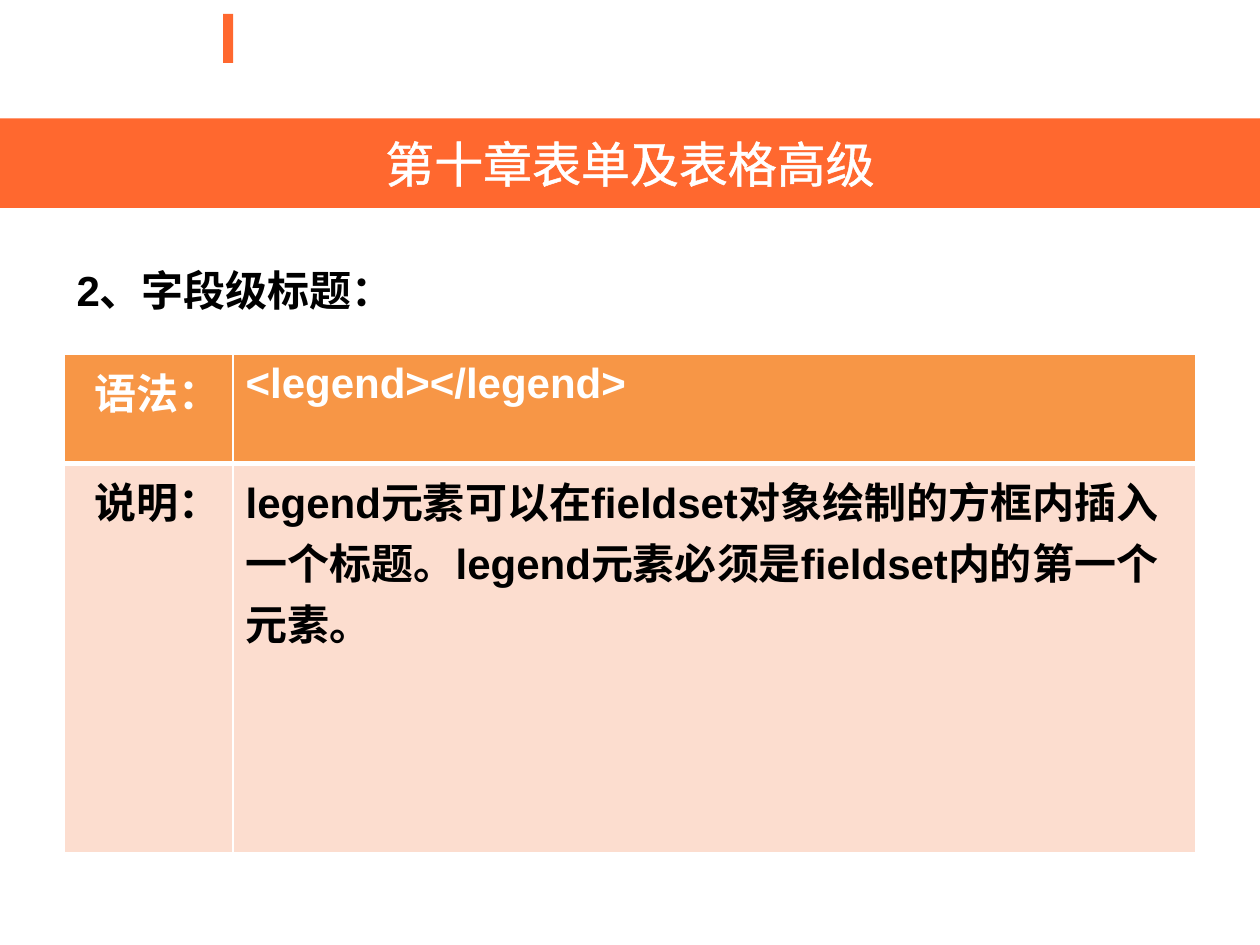
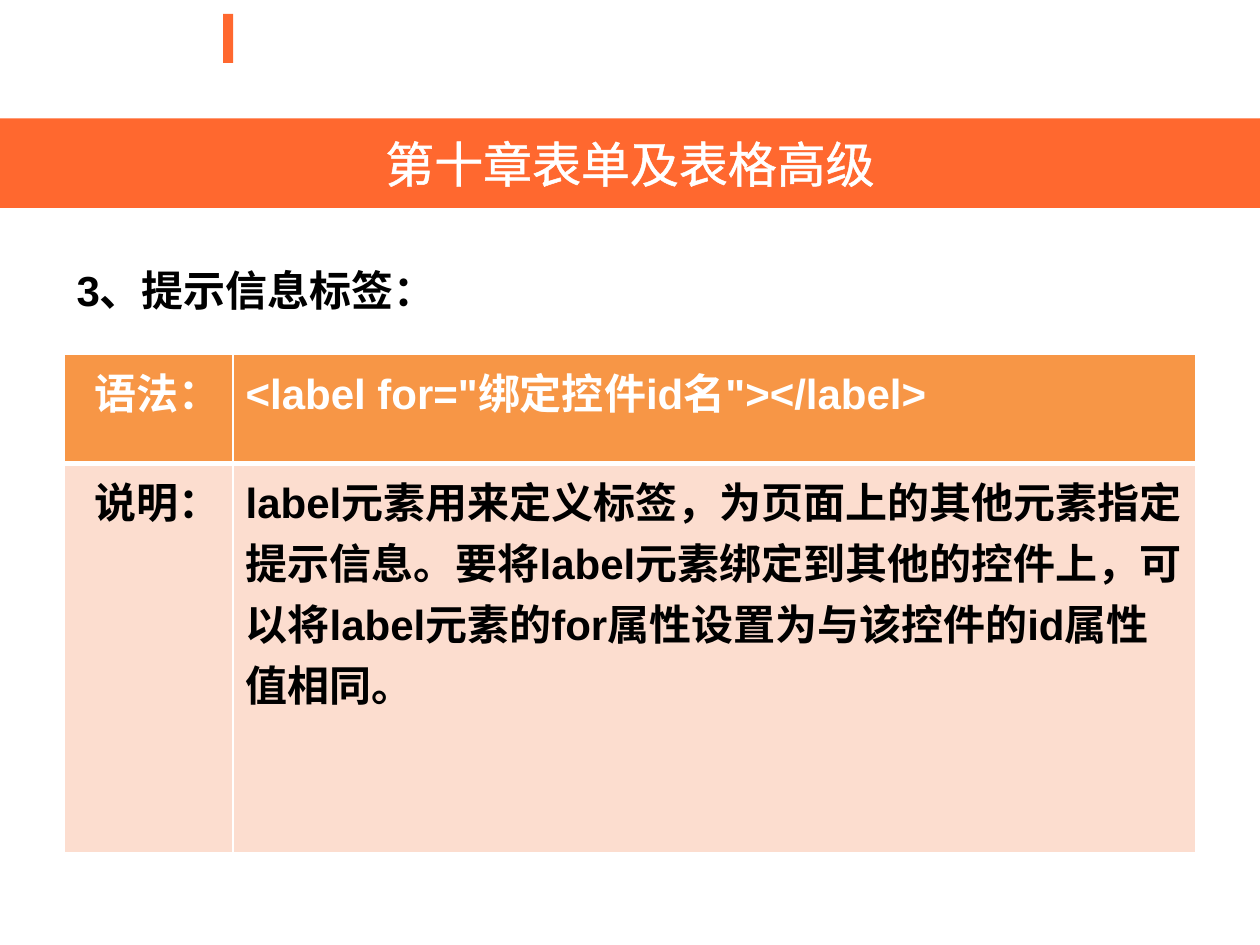
from lxml.etree import SubElement
from pptx import Presentation
from pptx.dml.color import RGBColor
from pptx.enum.shapes import MSO_SHAPE
from pptx.enum.text import MSO_ANCHOR, PP_ALIGN
from pptx.oxml import parse_xml
from pptx.oxml.ns import nsdecls, qn
from pptx.util import Inches, Pt

FONT = "Arial"
ORANGE = "FF682F"
HEADER_FILL = "F79646"
BODY_FILL = "FCDDCF"
WHITE = "FFFFFF"
BLACK = "000000"

CHAPTER = "第十章表单及表格高级"
COLUMN_WIDTHS = (1.34, 7.64)
ROW_HEIGHTS = (0.87, 3.09)

# Heading, syntax, explanation
TOPICS = (
    (
        "2、字段级标题：",
        "<legend></legend>",
        "legend元素可以在fieldset对象绘制的方框内插入一个标题。"
        "legend元素必须是fieldset内的第一个元素。",
    ),
    (
        "3、提示信息标签：",
        '<label for="绑定控件id名"></label>',
        "label元素用来定义标签，为页面上的其他元素指定提示信息。"
        "要将label元素绑定到其他的控件上，"
        "可以将label元素的for属性设置为与该控件的id属性值相同。",
    ),
)


def color(hex_string):
    return RGBColor.from_string(hex_string)


def write(frame, text, hex_color, size=24, bold=True, align=PP_ALIGN.LEFT):
    """Put one formatted run in the frame's first paragraph and return it."""
    para = frame.paragraphs[0]
    para.alignment = align
    span = para.add_run()
    span.text = text
    span.font.name = FONT
    span.font.size = Pt(size)
    span.font.bold = bold
    span.font.color.rgb = color(hex_color)
    return span


def outline_text(span, hex_color, width):
    line = parse_xml(
        f'<a:ln {nsdecls("a")} w="{Pt(width)}"><a:solidFill>'
        f'<a:srgbClr val="{hex_color}"/></a:solidFill></a:ln>'
    )
    span.font._element.insert(0, line)


def add_block(page, left, top, width, height):
    block = page.shapes.add_shape(
        MSO_SHAPE.RECTANGLE, Inches(left), Inches(top), Inches(width), Inches(height)
    )
    block.shadow.inherit = False
    block.fill.solid()
    block.fill.fore_color.rgb = color(ORANGE)
    block.line.fill.background()
    return block


def add_chapter_band(page):
    add_block(page, 1.77, 0.11, 0.08, 0.39)
    frame = add_block(page, 0, 0.94, 10, 0.71).text_frame
    frame.vertical_anchor = MSO_ANCHOR.MIDDLE
    span = write(frame, CHAPTER, WHITE, size=28, bold=False, align=PP_ALIGN.CENTER)
    outline_text(span, WHITE, 1.45)


def add_heading(page, text):
    box = page.shapes.add_textbox(Inches(0.51), Inches(2.1), Inches(9), Inches(4.72))
    frame = box.text_frame
    frame.word_wrap = True
    frame.margin_top = 0
    write(frame, text, BLACK)


def set_borders(cell, **widths):
    """Draw white cell borders; widths in points are keyed by side: L, R, T, B."""
    properties = cell._tc.get_or_add_tcPr()
    for side, width in widths.items():
        line = SubElement(properties, qn(f"a:ln{side}"), w=str(Pt(width)))
        fill = SubElement(line, qn("a:solidFill"))
        SubElement(fill, qn("a:srgbClr"), val=WHITE)


def add_syntax_table(page, syntax, explanation):
    table = page.shapes.add_table(
        2, 2, Inches(0.51), Inches(2.81),
        Inches(sum(COLUMN_WIDTHS)), Inches(sum(ROW_HEIGHTS)),
    ).table
    for column, width in zip(table.columns, COLUMN_WIDTHS):
        column.width = Inches(width)
    for row, height in zip(table.rows, ROW_HEIGHTS):
        row.height = Inches(height)

    rows = (
        (("语法：", syntax), HEADER_FILL, WHITE, {"T": 1, "B": 3}),
        (("说明：", explanation), BODY_FILL, BLACK, {"T": 3, "B": 1}),
    )
    for row, (texts, fill, text_color, edges) in zip(table.rows, rows):
        for cell, text, align in zip(row.cells, texts, (PP_ALIGN.RIGHT, PP_ALIGN.LEFT)):
            set_borders(cell, L=1, R=1, **edges)
            cell.fill.solid()
            cell.fill.fore_color.rgb = color(fill)
            write(cell.text_frame, text, text_color, align=align)


def main():
    deck = Presentation()
    deck.slide_width = Inches(10)
    deck.slide_height = Inches(7.5)
    for heading, syntax, explanation in TOPICS:
        page = deck.slides.add_slide(deck.slide_layouts[6])
        add_chapter_band(page)
        add_heading(page, heading)
        add_syntax_table(page, syntax, explanation)
    deck.save("out.pptx")


if __name__ == "__main__":
    main()
